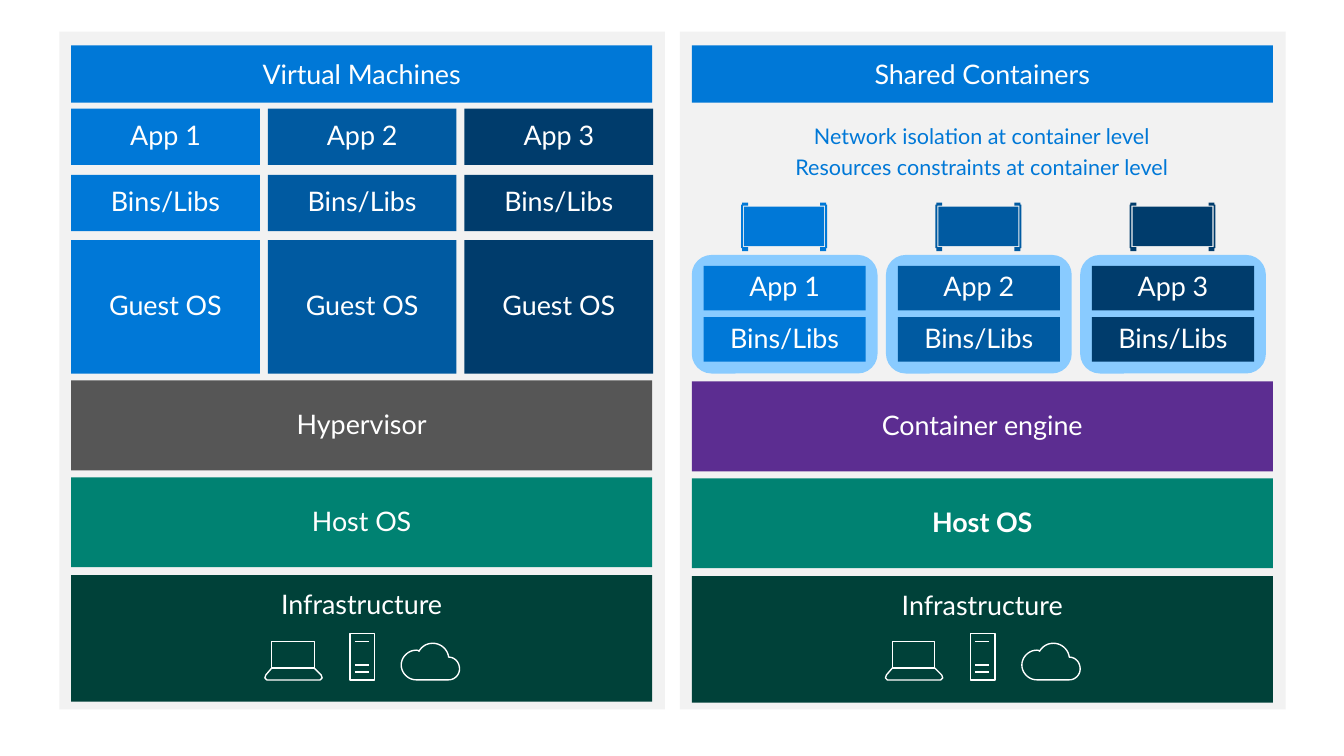
from pptx import Presentation
from pptx.dml.color import RGBColor as Rgb
from pptx.enum.shapes import MSO_SHAPE as Kind
from pptx.enum.text import MSO_ANCHOR as Anchor, PP_ALIGN as Align
from pptx.util import Inches, Pt

HUES = {
    "white": "FFFFFF", "panel": "F2F2F2", "blue": "0078D7", "mid": "005AA1",
    "navy": "003C6C", "sky": "89CBFF", "gray": "565656", "purple": "5C2D91",
    "teal": "008272", "pine": "004139",
}
APPS = ["blue", "mid", "navy"]

deck = Presentation()
deck.slide_width, deck.slide_height = Inches(13.6), Inches(7.65)
slide = deck.slides.add_slide(deck.slide_layouts[6])
shapes = slide.shapes


def box(x, y, w, h, hue, lines=(), kind=Kind.RECTANGLE, top=False,
        bold=False, size=19.6, ink="white", after=0):
    """Draw a filled box, or a clear one if hue is None, with centred lines."""
    shape = shapes.add_shape(kind, Inches(x), Inches(y), Inches(w), Inches(h))
    shape.shadow.inherit = False
    shape.line.fill.background()
    if hue:
        shape.fill.solid()
        shape.fill.fore_color.rgb = Rgb.from_string(HUES[hue])
    else:
        shape.fill.background()
    frame = shape.text_frame
    frame.word_wrap = True
    frame.margin_left = frame.margin_right = Inches(0.2)
    frame.margin_top = frame.margin_bottom = Inches(0.16)
    frame.vertical_anchor = Anchor.TOP if top else Anchor.MIDDLE
    for i, line in enumerate(lines):
        para = frame.add_paragraph() if i else frame.paragraphs[0]
        para.alignment = Align.CENTER
        para.line_spacing = 0.9
        para.space_after = Pt(after)
        run = para.add_run()
        run.text = line
        run.font.name, run.font.size, run.font.bold = "Lato", Pt(size), bold
        run.font.color.rgb = Rgb.from_string(HUES[ink])


def draw(x, y, strokes, hue=None):
    """Draw strokes placed from (x, y): filled with hue, or as white lines."""
    spots = [[(Inches(x + a), Inches(y + b)) for a, b in pts] for pts in strokes]
    pen = shapes.build_freeform(*spots[0][0])
    for i, pts in enumerate(spots):
        if i:
            pen.move_to(*pts[0])
        pen.add_line_segments(pts[1:], close=len(pts) > 2)
    shape = pen.convert_to_shape()
    shape.shadow.inherit = False
    if hue:
        shape.fill.solid()
        shape.fill.fore_color.rgb = Rgb.from_string(HUES[hue])
        shape.line.fill.background()
    else:
        shape.fill.background()
        shape.line.color.rgb = Rgb.from_string(HUES["white"])
        shape.line.width = Pt(1)


# Icon outlines
laptop = [
    [(0.07, 0.08), (0.5, 0.08), (0.5, 0.35), (0.07, 0.35)],
    [(0, 0.45), (0.02, 0.47), (0.56, 0.47), (0.58, 0.45), (0.57, 0.42),
     (0.5, 0.35), (0.07, 0.35), (0.01, 0.42)],
]
server = [[(0, 0), (0.25, 0), (0.25, 0.47), (0, 0.47)]]
server += [[(0.05, y), (0.19, y)] for y in (0.08, 0.32, 0.39)]
curves = [
    [(0.15, 0.47), (0.07, 0.47), (0, 0.4), (0, 0.32)],
    [(0, 0.32), (0, 0.24), (0.07, 0.17), (0.15, 0.17)],
    [(0.15, 0.17), (0.16, 0.17), (0.17, 0.17), (0.18, 0.18)],
    [(0.18, 0.18), (0.21, 0.13), (0.26, 0.1), (0.32, 0.1)],
    [(0.32, 0.1), (0.4, 0.1), (0.47, 0.16), (0.48, 0.24)],
    [(0.48, 0.24), (0.54, 0.24), (0.59, 0.29), (0.59, 0.36)],
    [(0.59, 0.36), (0.59, 0.42), (0.54, 0.47), (0.48, 0.47)],
]
cloud = []
for curve in curves:
    for t in [n / 10 for n in range(11)]:
        parts = ((1 - t) ** 3, 3 * t * (1 - t) ** 2, 3 * t * t * (1 - t), t ** 3)
        cloud.append([sum(k * p[d] for k, p in zip(parts, curve)) for d in (0, 1)])
bracket = [(0.01, 0), (0.07, 0), (0.07, 0.03), (0.02, 0.03), (0.02, 0.45),
           (0.07, 0.45), (0.07, 0.49), (0.01, 0.49), (0.01, 0.46), (0, 0.46),
           (0, 0.02), (0.01, 0.02)]

# Both stacks: panel, title, shared layers and icons
stacks = [
    (0.72, 0, "Virtual Machines", "Hypervisor", "gray", False),
    (7, 0.01, "Shared Containers", "Container engine", "purple", True),
]
for left, drop, title, layer, hue, bold in stacks:
    box(left - 0.12, 0.32, 6.13, 6.86, "panel")
    box(left, 0.46, 5.88, 0.58, "blue", [title], top=True)
    box(left, 3.85 + drop, 5.88, 0.91, hue, [layer])
    box(left, 4.83 + drop, 5.88, 0.91, "teal", ["Host OS"], bold=bold)
    box(left, 5.82 + drop, 5.88, 1.28, "pine", ["Infrastructure"], top=True)
    draw(left + 1.96, 6.41, laptop)
    draw(left + 2.82, 6.41, server)
    draw(left + 3.34, 6.41, [cloud])

# Virtual machines: a grid of apps, libraries and guest systems
for i, hue in enumerate(APPS):
    rows = [(1.1, 0.57, f"App {i + 1}"), (1.77, 0.57, "Bins/Libs"),
            (2.43, 1.35, "Guest OS")]
    for y, high, text in rows:
        box(0.72 + 1.99 * i, y, 1.91, high, hue, [text])

# Containers: a bracketed block above each rounded group
for i, hue in enumerate(APPS):
    left = 7 + 3.93 / 2 * i
    box(left, 2.58, 1.88, 1.2, "sky", kind=Kind.ROUNDED_RECTANGLE)
    box(left + 0.12, 2.69, 1.64, 0.45, hue, [f"App {i + 1}"])
    box(left + 0.12, 3.21, 1.64, 0.45, hue, ["Bins/Libs"])
    box(left + 0.53, 2.09, 0.81, 0.4, hue)
    draw(left + 0.5, 2.05, [bracket], hue)
    draw(left + 1.37, 2.05, [[(-x, y) for x, y in bracket]], hue)

box(7.53, 1.11, 4.81, 0.87, None,
    ["Network isolation at container level",
     "Resources constraints at container level"],
    top=True, size=15.7, ink="blue", after=5.9)

deck.save("out.pptx")
